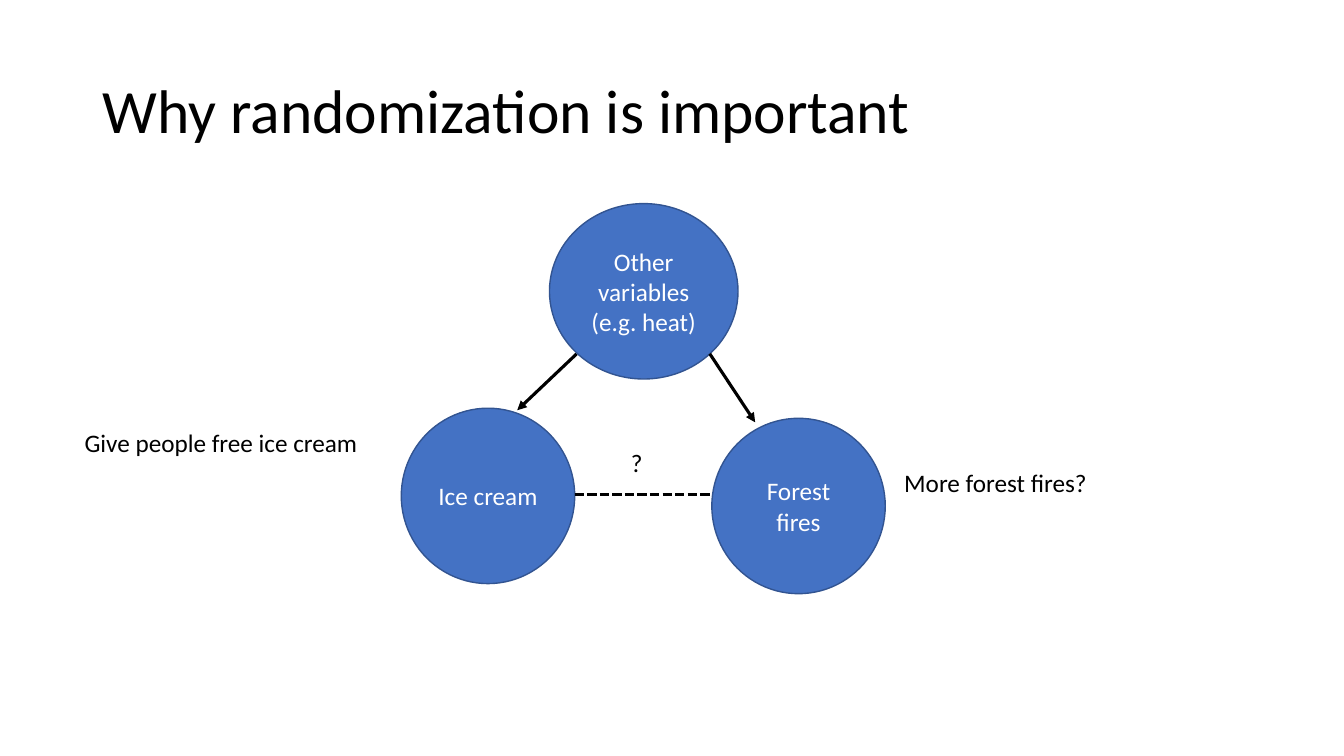
from pptx import Presentation, util as u
from pptx.dml.color import RGBColor
from pptx.enum import dml, shapes, text
from pptx.oxml.ns import qn
from lxml import etree


def color(code):
    return RGBColor.from_string(code)


class Board:
    """Draws styled labels, nodes and links on one slide."""

    font = "Calibri"
    ink = "000000"
    paper = "FFFFFF"
    blue = "4472C4"
    edge = "325491"

    def __init__(self, slide):
        self.slide = slide

    def letter(self, frame, words, size, ink, align, anchor):
        frame.word_wrap = True
        frame.vertical_anchor = anchor
        para = frame.paragraphs[0]
        para.text = words
        para.alignment = align
        para.font.name = self.font
        para.font.size = u.Pt(size)
        para.font.color.rgb = color(ink)
        return para

    def label(self, words, left, top, width, height=0.4, size=18,
              anchor=text.MSO_ANCHOR.TOP):
        box = self.slide.shapes.add_textbox(
            *map(u.Inches, (left, top, width, height)))
        return self.letter(box.text_frame, words, size, self.ink,
                           text.PP_ALIGN.LEFT, anchor)

    def title(self, words):
        para = self.label(words, 0.92, 0.4, 11.5, 1.45, 44,
                          text.MSO_ANCHOR.MIDDLE)
        para.line_spacing = 0.9

    def node(self, words, left, top, width=1.72, height=1.74):
        oval = self.slide.shapes.add_shape(
            shapes.MSO_SHAPE.OVAL,
            *map(u.Inches, (left, top, width, height)))
        oval.shadow.inherit = False
        oval.fill.solid()
        oval.fill.fore_color.rgb = color(self.blue)
        oval.line.color.rgb = color(self.edge)
        oval.line.width = u.Pt(1)
        self.letter(oval.text_frame, words, 18, self.paper,
                    text.PP_ALIGN.CENTER, text.MSO_ANCHOR.MIDDLE)

    def link(self, start, end, arrow=True):
        wire = self.slide.shapes.add_connector(
            shapes.MSO_CONNECTOR.STRAIGHT, *map(u.Inches, start + end))
        wire.line.color.rgb = color(self.ink)
        wire.line.width = u.Pt(2.25)
        if arrow:
            line = wire._element.spPr.find(qn("a:ln"))
            etree.SubElement(line, qn("a:tailEnd"), type="triangle")
        else:
            wire.line.dash_style = dml.MSO_LINE.SQUARE_DOT
        etree.SubElement(wire._element.spPr, qn("a:effectLst"))


def main():
    deck = Presentation()
    deck.slide_width = u.Inches(13.33)
    deck.slide_height = u.Inches(7.5)
    board = Board(deck.slides.add_slide(deck.slide_layouts[6]))

    board.title("Why randomization is important")
    board.node("Forest fires", 7.06, 4.15)
    board.node("Ice cream", 3.98, 4.05)
    board.link((5.72, 3.51), (5.13, 4.07))
    board.node("Other variables (e.g. heat)", 5.45, 2.02, 1.87)
    board.link((7.04, 3.51), (7.49, 4.19))
    board.label("Give people free ice cream", 0.74, 4.19, 3.15)
    board.link((5.7, 4.91), (7.04, 4.91), arrow=False)
    board.label("?", 6.16, 4.39, 0.51)
    board.label("More forest fires?", 8.87, 4.59, 3.43)
    deck.save("out.pptx")


if __name__ == "__main__":
    main()
